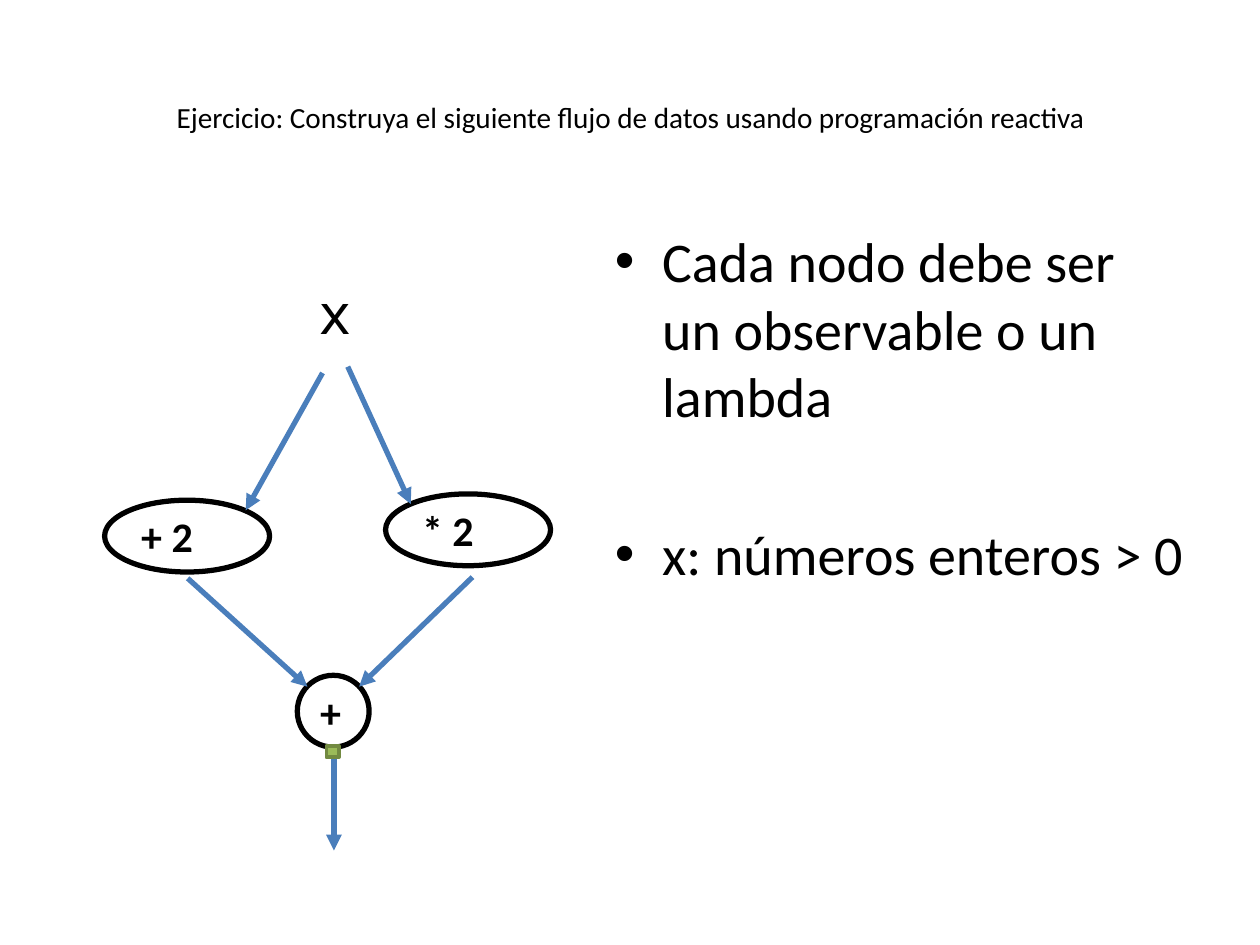
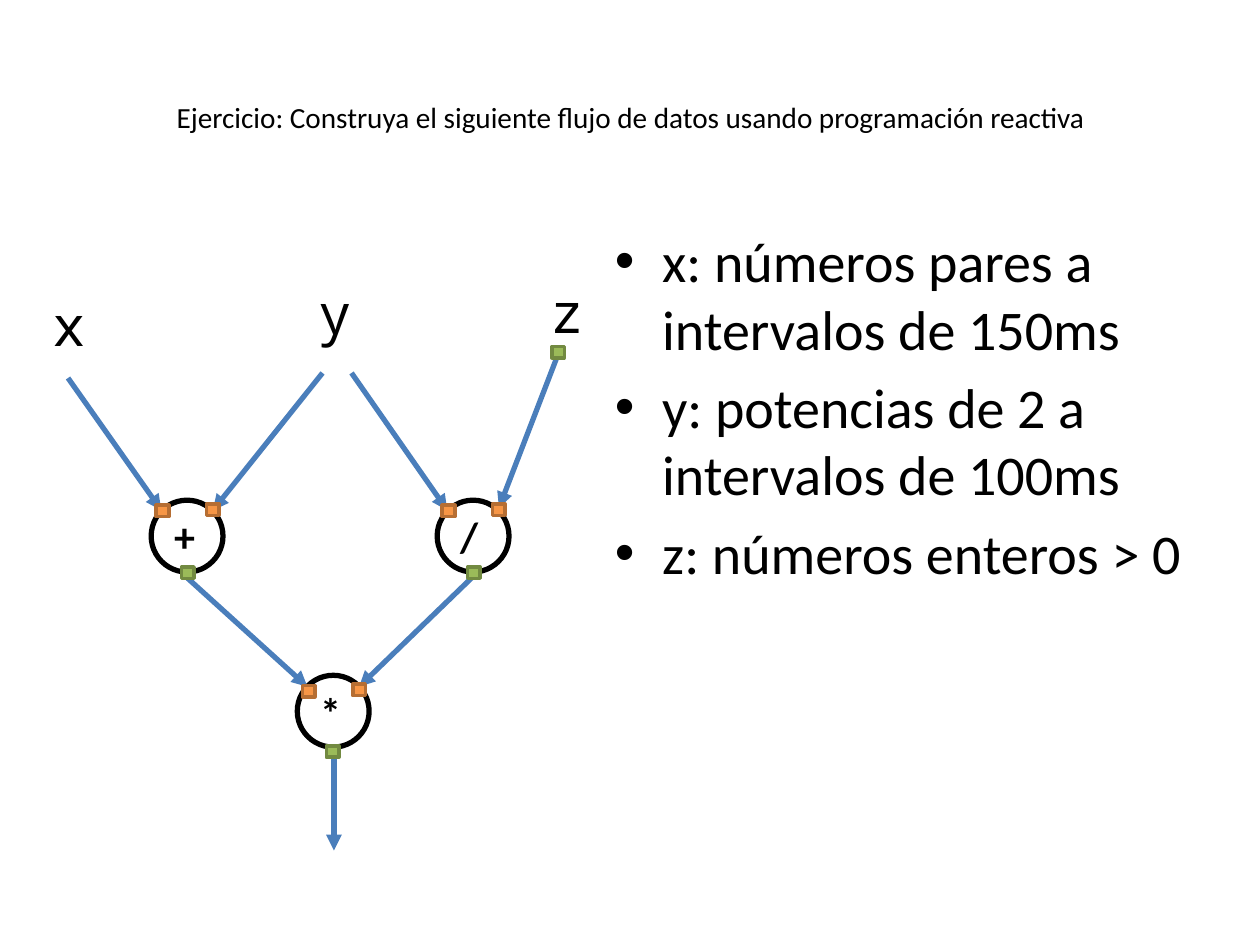
import pptx
import pptx.util
import pptx.dml.color
import pptx.enum.shapes
import pptx.enum.text
import pptx.oxml.ns
import lxml.etree

Inches = pptx.util.Inches
Pt = pptx.util.Pt
SHAPES = pptx.enum.shapes.MSO_SHAPE

COLORS = {
    "text": "000000",
    "node_fill": "FFFFFF",
    "node_line": "000000",
    "arrow": "4A7EBB",
    "input_fill": "F79646",
    "input_line": "B66E33",
    "output_fill": "9BBB59",
    "output_line": "728A41",
}
TITLE = "Ejercicio: Construya el siguiente flujo de datos usando programación reactiva"
BODY_FONT = "Calibri"
VARIABLE_FONT = "Noto Sans Mono"

CIRCLE_SIZE = 0.57
OVAL_WIDTH = 1.31
NODE_TOP = 3.97
RESULT_LEFT, RESULT_TOP = 2.36, 5.36
RESULT_OUTPUT = (2.59, 5.92)
MERGE_ARROWS = [
    ((1.49, 4.59), (2.44, 5.45)),
    ((3.75, 4.58), (2.85, 5.45)),
    ((2.65, 5.94), (2.65, 6.75)),
]


def color(name):
    return pptx.dml.color.RGBColor.from_string(COLORS[name])


def place(shape, left, top, width, height):
    shape.left, shape.top = Inches(left), Inches(top)
    shape.width, shape.height = Inches(width), Inches(height)


def format_text(text_frame, size, font_name=BODY_FONT, bold=False):
    for paragraph in text_frame.paragraphs:
        for run in paragraph.runs:
            run.font.size = Pt(size)
            run.font.name = font_name
            run.font.bold = bold
            run.font.color.rgb = color("text")


def add_exercise_slide(presentation, bullets, bullet_gap=6.4):
    slide = presentation.slides.add_slide(presentation.slide_layouts[1])
    title, body = slide.placeholders
    place(title, 0.2, 0.3, 9.61, 1.25)
    title.text_frame.text = TITLE
    format_text(title.text_frame, 16.7)
    place(body, 4.78, 1.75, 4.72, 4.95)
    body.text_frame.text = "\n".join(bullets)
    format_text(body.text_frame, 32)
    for paragraph in body.text_frame.paragraphs[1:]:
        paragraph.space_before = Pt(bullet_gap)
    for placeholder in (title, body):
        placeholder.text_frame.auto_size = pptx.enum.text.MSO_AUTO_SIZE.NONE
    return slide


def add_outlined_shape(slide, kind, left, top, width, height, role, line_width):
    shape = slide.shapes.add_shape(
        kind, Inches(left), Inches(top), Inches(width), Inches(height)
    )
    shape.shadow.inherit = False
    shape.fill.solid()
    shape.fill.fore_color.rgb = color(role + "_fill")
    shape.line.color.rgb = color(role + "_line")
    shape.line.width = Pt(line_width)
    return shape


def add_node(slide, operation, left, top, width=CIRCLE_SIZE):
    node = add_outlined_shape(
        slide, SHAPES.OVAL, left, top, width, CIRCLE_SIZE, "node", 3
    )
    node.text_frame.text = operation
    format_text(node.text_frame, 24, bold=True)


def add_port(slide, role, left, top):
    add_outlined_shape(slide, SHAPES.RECTANGLE, left, top, 0.1, 0.09, role, 2)


def add_input_ports(slide, node_left, top):
    add_port(slide, "input", node_left + 0.04, top + 0.01)
    add_port(slide, "input", node_left + 0.44, top)


def add_variable(slide, name, left, top):
    box = slide.shapes.add_textbox(
        Inches(left), Inches(top), Inches(0.4), Inches(0.63)
    )
    box.text_frame.word_wrap = True
    box.text_frame.text = name
    format_text(box.text_frame, 32, VARIABLE_FONT)


def add_arrow(slide, start, end):
    points = [Inches(value) for value in (*start, *end)]
    arrow = slide.shapes.add_connector(
        pptx.enum.shapes.MSO_CONNECTOR.STRAIGHT, *points
    )
    arrow.line.color.rgb = color("arrow")
    arrow.line.width = Pt(3)
    qualified = pptx.oxml.ns.qn
    line = arrow.line._get_or_add_ln()
    lxml.etree.SubElement(line, qualified("a:tailEnd"), type="triangle")
    lxml.etree.SubElement(arrow._element.spPr, qualified("a:effectLst"))


def add_flow(slide, result, source_arrows):
    add_node(slide, result, RESULT_LEFT, RESULT_TOP)
    for start, end in MERGE_ARROWS + source_arrows:
        add_arrow(slide, start, end)
    add_port(slide, "output", *RESULT_OUTPUT)


def build_single_source(presentation):
    slide = add_exercise_slide(
        presentation,
        ["Cada nodo debe ser un observable o un lambda", "x: números enteros > 0"],
        bullet_gap=51.8,
    )
    add_node(slide, "+ 2", 0.83, NODE_TOP, OVAL_WIDTH)
    add_node(slide, "* 2", 3.06, 3.92, OVAL_WIDTH)
    add_flow(
        slide,
        "+",
        [((2.56, 2.96), (1.95, 4.05)), ((2.76, 2.91), (3.26, 4))],
    )
    add_variable(slide, "x", 2.43, 2.16)


def build_three_sources(presentation):
    slide = add_exercise_slide(
        presentation,
        [
            "x: números pares a intervalos de 150ms",
            "y: potencias de 2 a intervalos de 100ms",
            "z: números enteros > 0",
        ],
    )
    operations = [("+", 1.2), ("/", 3.47)]
    for operation, left in operations:
        add_node(slide, operation, left, NODE_TOP)
    add_flow(
        slide,
        "*",
        [
            ((0.54, 3), (1.28, 4.05)),
            ((2.56, 2.96), (1.69, 4.05)),
            ((2.79, 2.96), (3.55, 4.05)),
            ((4.43, 2.81), (3.96, 4.03)),
        ],
    )
    for operation, left in operations:
        add_input_ports(slide, left, 4)
        add_port(slide, "output", left + 0.24, 4.5)
    add_input_ports(slide, RESULT_LEFT, 5.43)
    add_port(slide, "output", 4.38, 2.75)
    for name, left, top in [("x", 0.32, 2.26), ("y", 2.43, 2.16), ("z", 4.27, 2.15)]:
        add_variable(slide, name, left, top)


def main():
    presentation = pptx.Presentation()
    presentation.slide_width = Inches(10)
    presentation.slide_height = Inches(7.5)
    build_single_source(presentation)
    build_three_sources(presentation)
    presentation.save("out.pptx")


if __name__ == "__main__":
    main()
